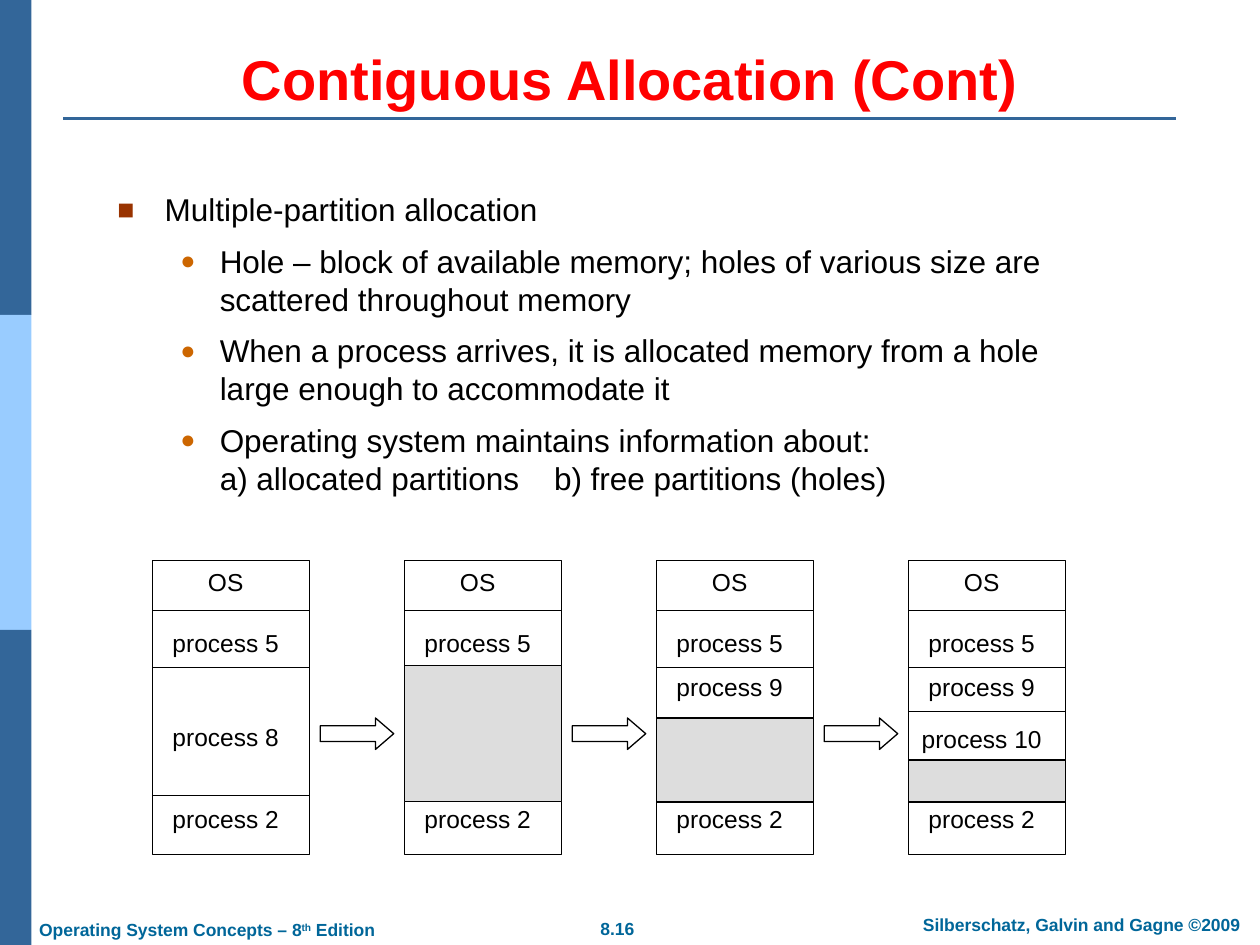
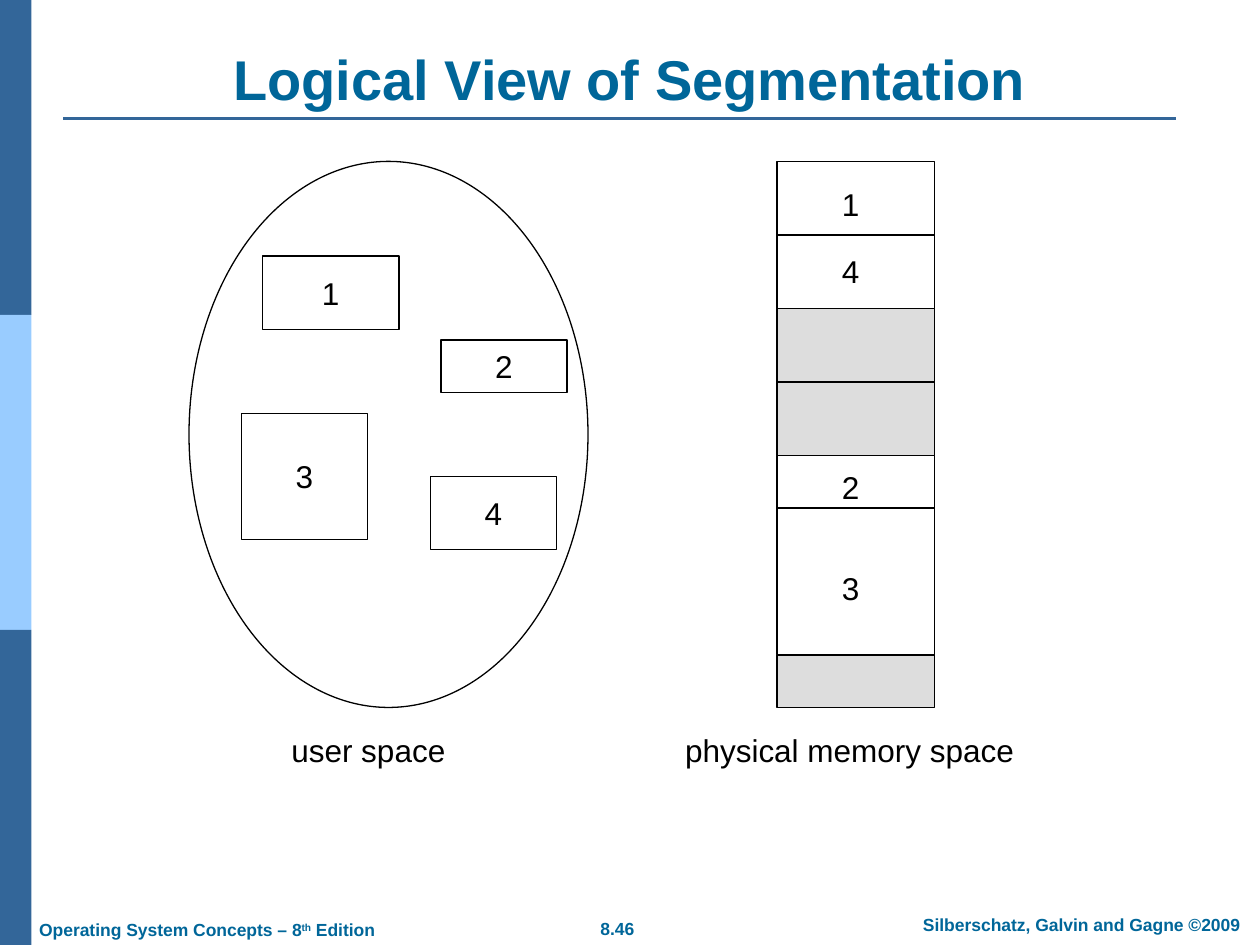
from lxml.etree import SubElement
from pptx import Presentation
from pptx.dml.color import RGBColor
from pptx.enum.shapes import MSO_CONNECTOR as Connector, MSO_SHAPE as Shape
from pptx.enum.text import MSO_ANCHOR as Anchor, PP_ALIGN as Align
from pptx.oxml.ns import qn
from pptx.util import Pt

FONT = "Arial"
BLACK = RGBColor(0x00, 0x00, 0x00)
WHITE = RGBColor(0xFF, 0xFF, 0xFF)
RED = RGBColor(0xFF, 0x00, 0x00)
TEAL = RGBColor(0x00, 0x66, 0x99)
BLUE = RGBColor(0x33, 0x66, 0x99)
LIGHT_BLUE = RGBColor(0x99, 0xCC, 0xFF)
GREY = RGBColor(0xDD, 0xDD, 0xDD)
BROWN = RGBColor(0x99, 0x33, 0x00)
ORANGE = RGBColor(0xCC, 0x66, 0x00)

BOOK = ("Operating System Concepts – 8", "th", " Edition")
AUTHORS = "Silberschatz, Galvin and Gagne ©2009"
BANDS = [BLUE, LIGHT_BLUE, BLUE]
BAND_HEIGHT = 180

BULLETS = [
    (0, "Multiple-partition allocation"),
    (1, "Hole – block of available memory; holes of various size are scattered throughout memory"),
    (1, "When a process arrives, it is allocated memory from a hole large enough to accommodate it"),
    (1, "Operating system maintains information about:\va) allocated partitions\tb) free partitions (holes)"),
]
BULLET_STYLES = [
    {"symbol": "■", "color": BROWN, "size": 90, "margin": 27, "hang": 27},
    {"symbol": "●", "color": ORANGE, "size": 80, "margin": 58.5, "hang": 22.5},
]
FREE_PARTITIONS_TAB = 249.5

COLUMN_WIDTH = 90
COLUMN_LEFT, COLUMN_PITCH = 87, 144
COLUMN_TOP, COLUMN_HEIGHT = 320.25, 168
COLUMN_DIVIDERS = [349, 381.5, 454.5]
COLUMN_LABELS = [("OS", 332.25), ("process 5", 367.25), ("process 2", 468)]
HOLE_BOTTOM = 458.25
MEMORY_STATES = [
    {"labels": [("process 8", 421.25)], "hole_top": None, "dividers": []},
    {"labels": [], "hole_top": 380.25, "dividers": []},
    {"labels": [("process 9", 392.25)], "hole_top": 410.25, "dividers": []},
    {"labels": [("process 9", 392.25), ("process 10", 422)], "hole_top": 434.25, "dividers": [406.75]},
]

USER_SPACE = (108, 92.25, 228, 312)
USER_SEGMENTS = [
    ("1", (150, 146.25, 78, 42)),
    ("3", (138, 236.25, 72, 72)),
    ("2", (252, 194.25, 72, 30)),
    ("4", (246, 272.25, 72, 42)),
]
PHYSICAL_LEFT = 444
PHYSICAL_BLOCKS = [(84, WHITE), (84, GREY), (114, WHITE), (30, GREY)]
PHYSICAL_DIVIDERS = [42, 126, 198]
PHYSICAL_LABELS = [("1", 116.5), ("4", 154.75), ("2", 278), ("3", 336)]
CAPTIONS = [("user space", 210.5), ("physical memory space", 485.5)]
CAPTION_CENTER = 428.5


def style_runs(paragraph, size, color=BLACK, bold=False):
    for run in paragraph.runs:
        run.font.name = FONT
        run.font.size = Pt(size)
        run.font.bold = bold
        run.font.color.rgb = color


def add_text(slide, text, box, size, color=BLACK, bold=False, align=Align.CENTER, anchor=Anchor.MIDDLE):
    shape = slide.shapes.add_textbox(*map(Pt, box))
    frame = shape.text_frame
    frame.word_wrap = True
    frame.vertical_anchor = anchor
    paragraph = frame.paragraphs[0]
    paragraph.text = text
    paragraph.alignment = align
    style_runs(paragraph, size, color, bold)
    return paragraph


def add_label(slide, text, center_x, center_y, size, width=84):
    height = size * 1.2 + 7.2
    add_text(slide, text, (center_x - width / 2, center_y - height / 2, width, height), size)


def add_block(slide, box, fill=WHITE, kind=Shape.RECTANGLE, line=BLACK):
    shape = slide.shapes.add_shape(kind, *map(Pt, box))
    shape.shadow.inherit = False
    shape.fill.solid()
    shape.fill.fore_color.rgb = fill
    if line is None:
        shape.line.fill.background()
    else:
        shape.line.color.rgb = line
        shape.line.width = Pt(0.75)
    return shape


def add_rule(slide, left, right, y, color=BLACK, width=0.75):
    rule = slide.shapes.add_connector(Connector.STRAIGHT, Pt(left), Pt(y), Pt(right), Pt(y))
    rule.line.color.rgb = color
    rule.line.width = Pt(width)
    SubElement(rule._element.spPr, qn("a:effectLst"))


def add_bullet(paragraph, symbol, color, size, margin, hang):
    properties = paragraph._p.get_or_add_pPr()
    properties.set("marL", str(Pt(margin)))
    properties.set("indent", str(-Pt(hang)))
    bullet_color = SubElement(properties, qn("a:buClr"))
    SubElement(bullet_color, qn("a:srgbClr"), val=str(color))
    SubElement(properties, qn("a:buSzPct"), val=str(size * 1000))
    SubElement(properties, qn("a:buFont"), typeface=FONT)
    SubElement(properties, qn("a:buChar"), char=symbol)


def add_base_slide(presentation, title, title_color, number):
    slide = presentation.slides.add_slide(presentation.slide_layouts[6])
    for index, color in enumerate(BANDS):
        add_block(slide, (0, index * BAND_HEIGHT, 18, BAND_HEIGHT), color, line=None)
    add_rule(slide, 36, 672, 67.75, BLUE, 1.5)
    footer = {"size": 10, "color": TEAL, "bold": True, "anchor": Anchor.TOP}
    add_text(slide, number, (317.5, 521, 70.5, 19), **footer)
    add_text(slide, AUTHORS, (511, 518.75, 214, 19), **footer)
    book = add_text(slide, BOOK[0], (15.25, 521.5, 240, 18.5), align=Align.LEFT, **footer)
    for part in BOOK[1:]:
        book.add_run().text = part
    style_runs(book, 10, TEAL, True)
    book.runs[1]._r.get_or_add_rPr().set("baseline", "30000")
    add_text(slide, title, (36, 22, 648, 45.5), 32, title_color, True, anchor=Anchor.BOTTOM)
    return slide


def add_bullets(slide):
    frame = slide.shapes.add_textbox(Pt(60), Pt(105.25), Pt(579), Pt(205)).text_frame
    frame.word_wrap = True
    for index, (level, text) in enumerate(BULLETS):
        paragraph = frame.paragraphs[0] if index == 0 else frame.add_paragraph()
        paragraph.text = text
        paragraph.level = level
        if index:
            paragraph.space_before = Pt(7.9)
        add_bullet(paragraph, **BULLET_STYLES[level])
        if "\t" in text:
            tabs = SubElement(paragraph._p.pPr, qn("a:tabLst"))
            SubElement(tabs, qn("a:tab"), pos=str(Pt(FREE_PARTITIONS_TAB)), algn="l")
        style_runs(paragraph, 18)


def add_memory_state(slide, left, labels, hole_top, dividers):
    right = left + COLUMN_WIDTH
    add_block(slide, (left, COLUMN_TOP, COLUMN_WIDTH, COLUMN_HEIGHT))
    for y in COLUMN_DIVIDERS + dividers:
        add_rule(slide, left, right, y)
    if hole_top is not None:
        add_block(slide, (left, hole_top, COLUMN_WIDTH, HOLE_BOTTOM - hole_top), GREY)
    for text, center in COLUMN_LABELS + labels:
        add_label(slide, text, left + 42, center, 14)


def build_allocation(presentation):
    slide = add_base_slide(presentation, "Contiguous Allocation (Cont)", RED, "8.16")
    add_bullets(slide)
    for index, state in enumerate(MEMORY_STATES):
        left = COLUMN_LEFT + index * COLUMN_PITCH
        add_memory_state(slide, left, **state)
        if index:
            arrow = add_block(slide, (left - 48, 410.25, 42, 18), kind=Shape.RIGHT_ARROW)
            arrow.adjustments[1] = 0.58


def build_segmentation(presentation):
    slide = add_base_slide(presentation, "Logical View of Segmentation", TEAL, "8.46")
    add_block(slide, USER_SPACE, kind=Shape.OVAL)
    for text, box in USER_SEGMENTS:
        frame = add_block(slide, box).text_frame
        frame.vertical_anchor = Anchor.MIDDLE
        paragraph = frame.paragraphs[0]
        paragraph.text = text
        paragraph.alignment = Align.CENTER
        style_runs(paragraph, 18)
    top = USER_SPACE[1]
    for height, fill in PHYSICAL_BLOCKS:
        add_block(slide, (PHYSICAL_LEFT, top, COLUMN_WIDTH, height), fill)
        top += height
    for offset in PHYSICAL_DIVIDERS:
        add_rule(slide, PHYSICAL_LEFT, PHYSICAL_LEFT + COLUMN_WIDTH, USER_SPACE[1] + offset)
    for text, center in PHYSICAL_LABELS:
        add_label(slide, text, PHYSICAL_LEFT + 42, center, 18, 24)
    for text, center in CAPTIONS:
        add_label(slide, text, center, CAPTION_CENTER, 18, 210)


def main():
    presentation = Presentation()
    presentation.slide_width = Pt(720)
    presentation.slide_height = Pt(540)
    build_allocation(presentation)
    build_segmentation(presentation)
    presentation.save("out.pptx")


if __name__ == "__main__":
    main()
